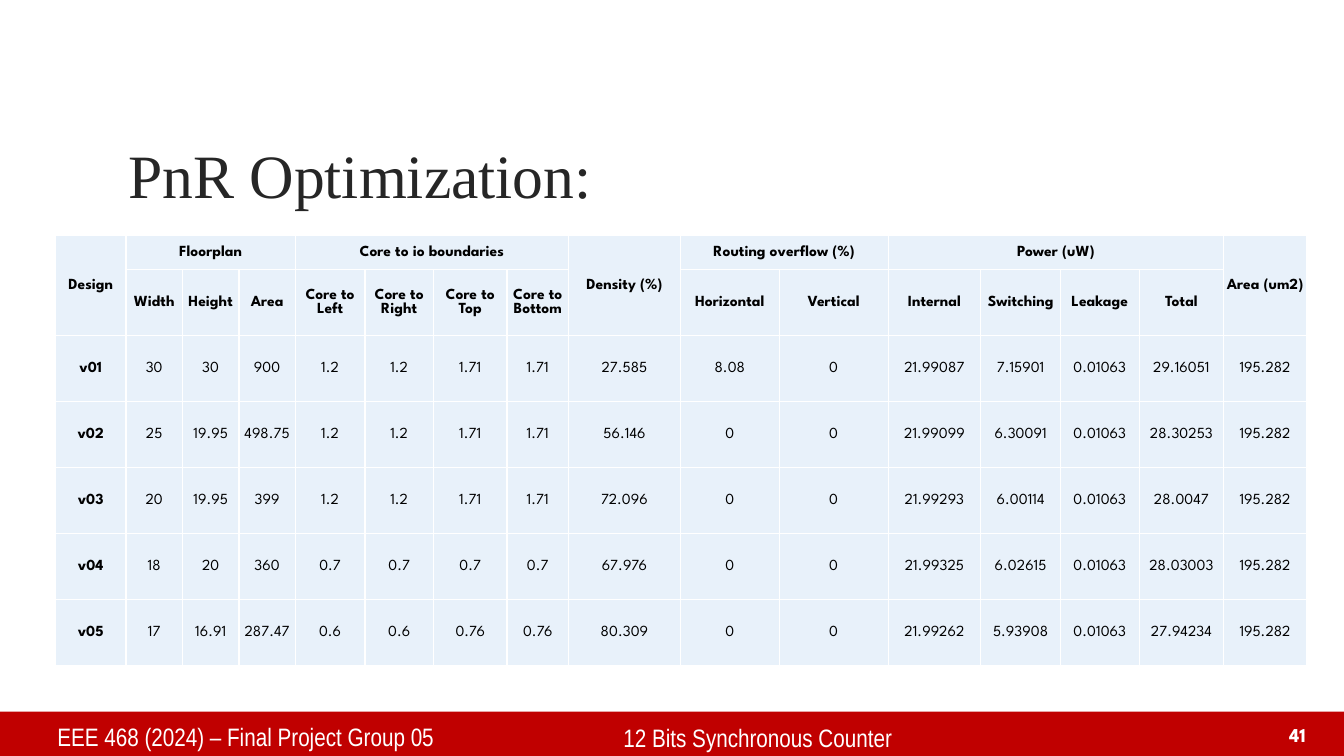
from lxml import etree
from pptx import Presentation
from pptx.dml.color import RGBColor
from pptx.enum.shapes import MSO_SHAPE
from pptx.enum.text import MSO_ANCHOR, MSO_AUTO_SIZE, PP_ALIGN
from pptx.oxml.ns import qn
from pptx.util import Emu, Pt

RECT = MSO_SHAPE.RECTANGLE
TOP, MIDDLE, BOTTOM = MSO_ANCHOR.TOP, MSO_ANCHOR.MIDDLE, MSO_ANCHOR.BOTTOM
LEFT, CENTER, RIGHT = PP_ALIGN.LEFT, PP_ALIGN.CENTER, PP_ALIGN.RIGHT
NO_FIT = MSO_AUTO_SIZE.NONE

RED = RGBColor(0xC0, 0x00, 0x00)
WHITE = RGBColor(0xFF, 0xFF, 0xFF)
BLACK = RGBColor(0x00, 0x00, 0x00)
INK = RGBColor(0x26, 0x26, 0x26)
PALE = RGBColor(0xE8, 0xF1, 0xFA)

SERIF, NARROW, SPARTAN = "Times New Roman", "Arial Narrow", "League Spartan"

GROUPS = [
    ("Design", []),
    ("Floorplan", ["Width", "Height", "Area"]),
    ("Core to io boundaries",
     ["Core to Left", "Core to Right", "Core to Top", "Core to Bottom"]),
    ("Density (%)", []),
    ("Routing overflow (%)", ["Horizontal", "Vertical"]),
    ("Power (uW)", ["Internal", "Switching", "Leakage", "Total"]),
    ("Area (um2)", []),
]
RUNS = [line.split() for line in (
    "v01 30 30 900 1.2 1.2 1.71 1.71 27.585 8.08 0 21.99087 7.15901 0.01063 29.16051 195.282",
    "v02 25 19.95 498.75 1.2 1.2 1.71 1.71 56.146 0 0 21.99099 6.30091 0.01063 28.30253 195.282",
    "v03 20 19.95 399 1.2 1.2 1.71 1.71 72.096 0 0 21.99293 6.00114 0.01063 28.0047 195.282",
    "v04 18 20 360 0.7 0.7 0.7 0.7 67.976 0 0 21.99325 6.02615 0.01063 28.03003 195.282",
    "v05 17 16.91 287.47 0.6 0.6 0.76 0.76 80.309 0 0 21.99262 5.93908 0.01063 27.94234 195.282",
)]
WIDTHS = [70, 56, 56, 56, 69, 68, 73, 61, 111, 98, 108, 92, 79, 78, 84, 82]
HEIGHTS = [33] + [66, 65] * 3


def px(count):
    """Turn px, a hundred to the inch, into EMU."""
    return Emu(count * 9144)


class Deck:
    """Hold the style and the current slide."""

    def __init__(self, width, height):
        """Start a deck with one title-only slide."""
        self.file = Presentation()
        self.file.slide_width, self.file.slide_height = px(width), px(height)
        self.slide = self.file.slides.add_slide(self.file.slide_layouts[5])

    def text(self, frame, text, size, font, color, align, bold=False):
        """Put one run of text into a frame."""
        para = frame.paragraphs[0]
        para.alignment = align
        run = para.add_run()
        run.text = text
        run.font.size, run.font.name = Pt(size), font
        run.font.bold, run.font.color.rgb = bold, color
        return para

    def title(self, box, text):
        """Place and fill the title."""
        shape = self.slide.shapes.title
        shape.left, shape.top, shape.width, shape.height = map(px, box)
        frame = shape.text_frame
        frame.auto_size, frame.vertical_anchor = NO_FIT, MIDDLE
        para = self.text(frame, text, 44, SERIF, INK, LEFT)
        para.line_spacing = 0.9

    def bar(self, box, color):
        """Draw a plain filled bar."""
        shape = self.slide.shapes.add_shape(RECT, *map(px, box))
        shape.shadow.inherit = False
        shape.fill.solid()
        shape.fill.fore_color.rgb = color
        shape.line.fill.background()

    def label(self, box, text, size, font, align, anchor=TOP, bold=False):
        """Add a white label."""
        frame = self.slide.shapes.add_textbox(*map(px, box)).text_frame
        frame.word_wrap, frame.vertical_anchor = True, anchor
        self.text(frame, text, size, font, WHITE, align, bold)

    def cell(self, cell):
        """Give a cell its borders, fill and margins."""
        props = cell._tc.get_or_add_tcPr()
        for side in ("a:lnL", "a:lnR", "a:lnT", "a:lnB"):
            line = etree.SubElement(props, qn(side), w=str(Pt(1)))
            fill = etree.SubElement(line, qn("a:solidFill"))
            etree.SubElement(fill, qn("a:srgbClr"), val=str(WHITE))
        cell.fill.solid()
        cell.fill.fore_color.rgb = PALE
        cell.margin_left = cell.margin_right = cell.margin_top = px(1)
        cell.margin_bottom = 0
        cell.vertical_anchor = MIDDLE

    def table(self, left, top):
        """Build the table of design runs."""
        box = (left, top, sum(WIDTHS), sum(HEIGHTS))
        grid = self.slide.shapes.add_table(
            len(HEIGHTS), len(WIDTHS), *map(px, box)).table
        for column, width in zip(grid.columns, WIDTHS):
            column.width = px(width)
        for row, height in zip(grid.rows, HEIGHTS):
            row.height = px(height)
        for cell in grid.iter_cells():
            self.cell(cell)

        def put(row, col, text, bold):
            """Fill one cell."""
            self.text(grid.cell(row, col).text_frame, text, 11, SPARTAN,
                      BLACK, CENTER, bold)

        col = 0
        for name, parts in GROUPS:
            put(0, col, name, True)
            for step, part in enumerate(parts):
                put(1, col + step, part, True)
            span = max(len(parts), 1)
            end = grid.cell(0 if parts else 1, col + span - 1)
            grid.cell(0, col).merge(end)
            col += span
        for row, values in enumerate(RUNS, 2):
            for col, value in enumerate(values):
                put(row, col, value, col == 0)


def main():
    """Build the slide and save it."""
    deck = Deck(1333, 750)
    deck.bar((0, 706, 1333, 45), RED)
    deck.title((117, 137, 1100, 80), "PnR Optimization:")
    deck.label((47, 711, 434, 43), "EEE 468 (2024) – Final Project Group 05",
               18, NARROW, LEFT)
    deck.label((481, 712, 547, 41), "12 Bits Synchronous Counter ",
               18, NARROW, CENTER)
    deck.label((1248, 711, 57, 34), "41", 14, SPARTAN, RIGHT, BOTTOM, True)
    deck.table(55, 234)
    deck.file.save("out.pptx")


if __name__ == "__main__":
    main()
